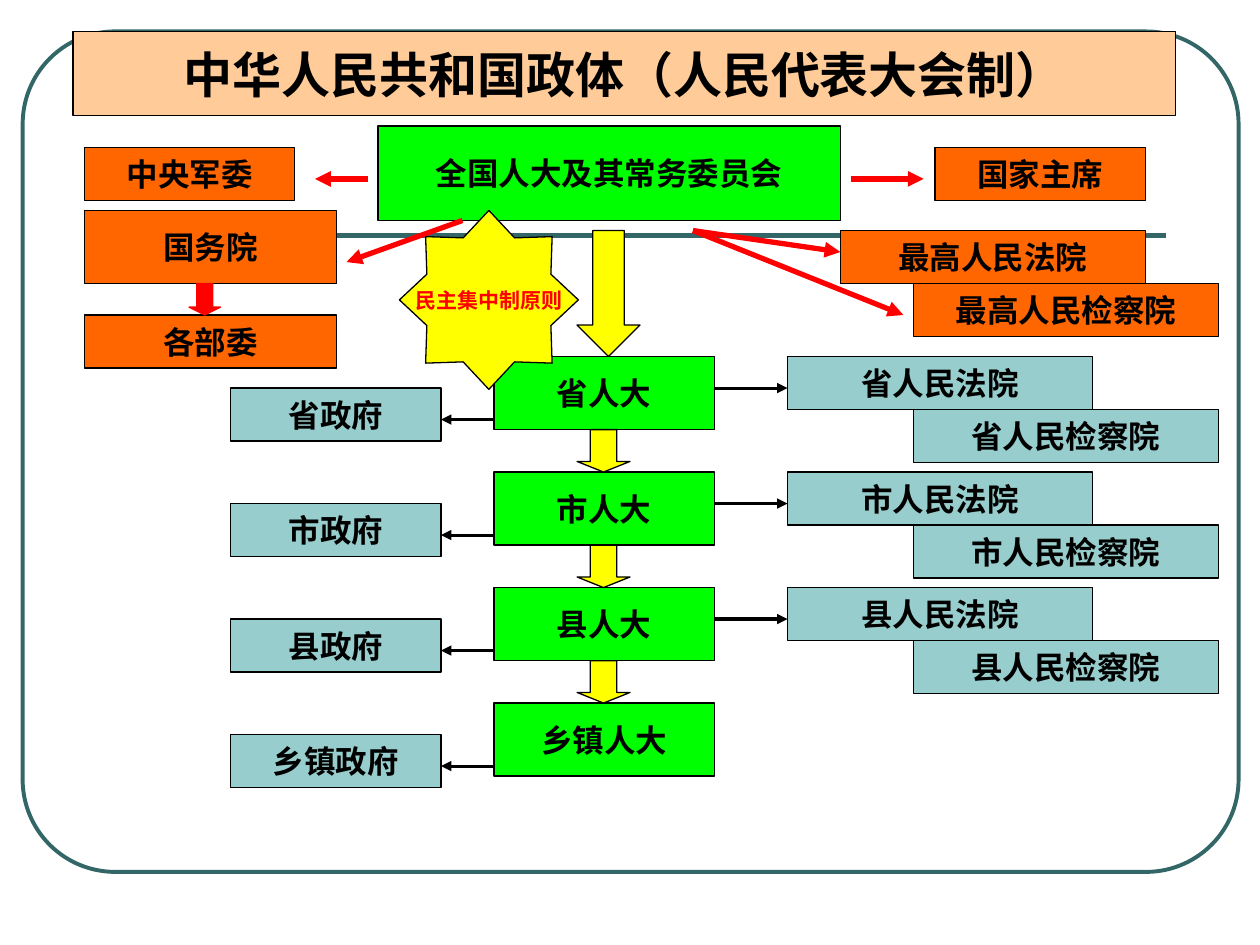
from lxml import etree
from pptx import Presentation
from pptx.dml.color import RGBColor
from pptx.enum.shapes import MSO_CONNECTOR, MSO_SHAPE
from pptx.enum.text import MSO_ANCHOR, PP_ALIGN
from pptx.oxml.ns import qn
from pptx.util import Inches, Pt

RECT = MSO_SHAPE.RECTANGLE
ROUNDED = MSO_SHAPE.ROUNDED_RECTANGLE
DOWN_ARROW = MSO_SHAPE.DOWN_ARROW
STAR = MSO_SHAPE.STAR_8_POINT
STRAIGHT = MSO_CONNECTOR.STRAIGHT

BLACK, RED, YELLOW = "000000", "FF0000", "FFFF00"
PEACH, GREEN, ORANGE, TEAL, DARK_TEAL = "FFCC99", "00FF00", "FF6600", "97CDCC", "336666"

TITLE = "中华人民共和国政体（人民代表大会制）"
PRINCIPLE = "民主集中制原则"

# text, (left, top, width, height), fill
NATIONAL_BODIES = [
    ("全国人大及其常务委员会", (3, 1, 3.67, 0.75), GREEN),
    ("中央军委", (0.67, 1.17, 1.67, 0.42), ORANGE),
    ("国家主席", (7.42, 1.17, 1.67, 0.42), ORANGE),
    ("国务院", (0.67, 1.67, 2, 0.58), ORANGE),
    ("各部委", (0.67, 2.5, 2, 0.42), ORANGE),
    ("最高人民法院", (6.67, 1.83, 2.42, 0.42), ORANGE),
    ("最高人民检察院", (7.25, 2.25, 2.42, 0.42), ORANGE),
]
# start, end
NATIONAL_ARROWS = [
    ((2.92, 1.42), (2.5, 1.42)),
    ((3.67, 1.75), (2.75, 2.08)),
    ((5.5, 1.83), (6.67, 2)),
    ((5.5, 1.83), (7.17, 2.5)),
    ((6.75, 1.42), (7.33, 1.42)),
]
# congress, government, courts
LOCAL_LEVELS = [
    ("省人大", "省政府", ("省人民法院", "省人民检察院")),
    ("市人大", "市政府", ("市人民法院", "市人民检察院")),
    ("县人大", "县政府", ("县人民法院", "县人民检察院")),
    ("乡镇人大", "乡镇政府", ()),
]
LEVEL_TOP, LEVEL_STEP = 2.83, 11 / 12
CONGRESS_LEFT, CONGRESS_W, CONGRESS_H = 3.92, 1.75, 0.58
GOVERNMENT_LEFT, GOVERNMENT_W = 1.83, 1.67
COURT_LEFTS, COURT_W = (6.25, 7.25), 2.42
OFFICE_H = 0.42


def rgb(value):
    return RGBColor.from_string(value)


def add_figure(shapes, kind, box, fill, line=BLACK, weight=0.75, adjust=()):
    figure = shapes.add_shape(kind, *(Inches(v) for v in box))
    figure.shadow.inherit = False
    if fill:
        figure.fill.solid()
        figure.fill.fore_color.rgb = rgb(fill)
    else:
        figure.fill.background()
    figure.line.color.rgb = rgb(line)
    figure.line.width = Pt(weight)
    for i, value in enumerate(adjust):
        figure.adjustments[i] = value
    return figure


def add_label(shapes, text, box, fill, size=18, color=BLACK, kind=RECT):
    """Add a filled figure with centred bold text on one line."""
    frame = add_figure(shapes, kind, box, fill).text_frame
    frame.word_wrap = False
    frame.vertical_anchor = MSO_ANCHOR.MIDDLE
    paragraph = frame.paragraphs[0]
    paragraph.text = text
    paragraph.alignment = PP_ALIGN.CENTER
    paragraph.font.name = "Arial"
    paragraph.font.size = Pt(size)
    paragraph.font.bold = True
    paragraph.font.color.rgb = rgb(color)


def add_line(shapes, start, end, color, weight, arrow=True):
    line = shapes.add_connector(STRAIGHT, *(Inches(v) for v in start + end))
    line.line.color.rgb = rgb(color)
    line.line.width = Pt(weight)
    if arrow:
        etree.SubElement(line.line._get_or_add_ln(), qn("a:tailEnd"), type="triangle")
    etree.SubElement(line._element.spPr, qn("a:effectLst"))


def add_level(shapes, top, congress, government, courts):
    add_label(shapes, congress, (CONGRESS_LEFT, top, CONGRESS_W, CONGRESS_H), GREEN)
    add_label(shapes, government, (GOVERNMENT_LEFT, top + 0.25, GOVERNMENT_W, OFFICE_H), TEAL)
    add_line(shapes, (CONGRESS_LEFT, top + 0.5),
             (GOVERNMENT_LEFT + GOVERNMENT_W, top + 0.5), BLACK, 1.75)
    for i, (court, left) in enumerate(zip(courts, COURT_LEFTS)):
        add_label(shapes, court, (left, top + i * OFFICE_H, COURT_W, OFFICE_H), TEAL)
    if courts:
        add_line(shapes, (CONGRESS_LEFT + CONGRESS_W, top + 0.25),
                 (COURT_LEFTS[0], top + 0.25), BLACK, 1.75)


def main():
    prs = Presentation()
    prs.slide_width, prs.slide_height = Inches(10), Inches(7.5)
    shapes = prs.slides.add_slide(prs.slide_layouts[6]).shapes

    add_figure(shapes, ROUNDED, (0.18, 0.25, 9.65, 6.67), None, DARK_TEAL, 2.25, (0.11,))
    add_line(shapes, (0.83, 1.87), (9.25, 1.87), DARK_TEAL, 3, arrow=False)
    add_label(shapes, TITLE, (0.58, 0.25, 8.75, 0.67), PEACH, 28)

    for body in NATIONAL_BODIES:
        add_label(shapes, *body)
    for start, end in NATIONAL_ARROWS:
        add_line(shapes, start, end, RED, 3)
    add_figure(shapes, DOWN_ARROW, (1.5, 2.25, 0.25, 0.25), RED, RED, adjust=(0.5, 0.25))
    add_figure(shapes, DOWN_ARROW, (4.58, 1.83, 0.5, 1), YELLOW, adjust=(0.5, 0.5))

    for i, level in enumerate(LOCAL_LEVELS):
        top = LEVEL_TOP + i * LEVEL_STEP
        add_level(shapes, top, *level)
        if i:
            gap = LEVEL_STEP - CONGRESS_H
            add_figure(shapes, DOWN_ARROW, (4.58, top - gap, 0.42, gap), YELLOW,
                       adjust=(0.5, 0.25))

    add_label(shapes, PRINCIPLE, (3.17, 1.67, 1.42, 1.42), YELLOW, 12, RED, STAR)
    prs.save("out.pptx")


if __name__ == "__main__":
    main()
